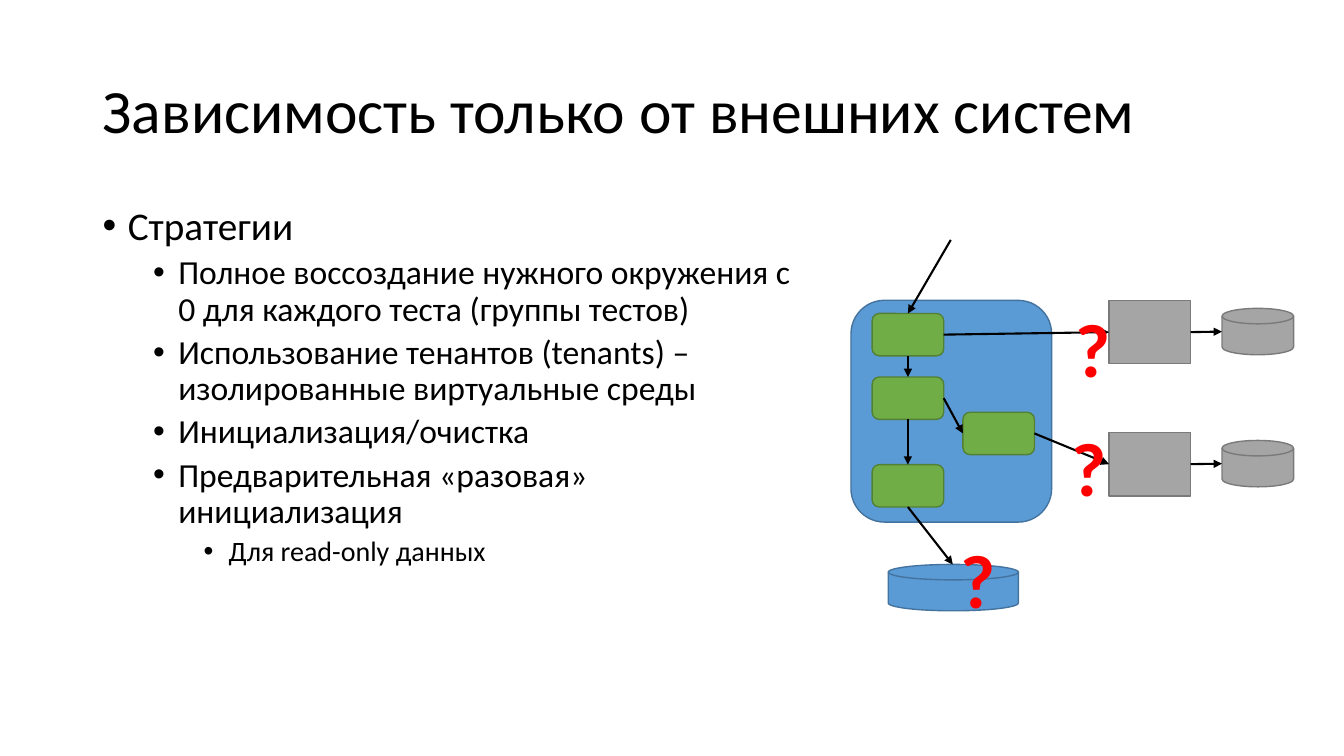
import dataclasses
import typing

import pptx
import pptx.dml.color
import pptx.enum.shapes
import pptx.enum.text
import pptx.oxml
import pptx.oxml.ns
import pptx.util

Inches = pptx.util.Inches
Pt = pptx.util.Pt
Kind = pptx.enum.shapes.MSO_SHAPE
Text = pptx.enum.text

COLORS = {
    "text": "000000", "mark": "FF0000",
    "blue": "5B9BD5", "blue_line": "43739E",
    "green": "70AD47", "green_line": "538035",
    "gray": "A5A5A5", "gray_line": "7A7A7A",
}
TOP, LEFT, BOTTOM, RIGHT = range(4)
End = tuple[typing.Union[str, float], float]


@dataclasses.dataclass
class Block:
    name: str
    kind: typing.Any
    box: tuple[float, float, float, float]
    color: str


@dataclasses.dataclass
class Link:
    """Each end is a block name with a side, or a point in inches."""
    start: End
    end: End


@dataclasses.dataclass
class Item:
    level: int
    text: str


TITLE = "Зависимость только от внешних систем"
ITEMS = [
    Item(0, "Стратегии"),
    Item(1, "Полное воссоздание нужного окружения с 0 для каждого теста (группы тестов)"),
    Item(1, "Использование тенантов (tenants) – изолированные виртуальные среды"),
    Item(1, "Инициализация/очистка"),
    Item(1, "Предварительная «разовая» инициализация"),
    Item(2, "Для read-only данных"),
]
SIZES = (28, 24, 20)

PARTS = {"entry": (8.65, 3.11), "logic": (8.65, 3.74),
         "data": (8.65, 4.61), "client": (9.55, 4.09)}
ROWS = {"first": 2.98, "second": 4.29}
BLOCKS = [
    Block("system", Kind.ROUNDED_RECTANGLE, (8.44, 2.98, 1.99, 2.2), "blue"),
    *(Block(name, Kind.ROUNDED_RECTANGLE, (*spot, 0.71, 0.42), "green")
      for name, spot in PARTS.items()),
    *(Block(name, Kind.RECTANGLE, (11, top, 0.81, 0.63), "gray")
      for name, top in ROWS.items()),
    Block("base", Kind.FLOWCHART_MAGNETIC_DISK, (8.81, 5.6, 1.29, 0.46), "blue"),
    *(Block(name + " base", Kind.FLOWCHART_MAGNETIC_DISK,
            (12.12, top + 0.08, 0.71, 0.46), "gray")
      for name, top in ROWS.items()),
]
LINKS = [
    Link(("entry", BOTTOM), ("logic", TOP)),
    Link(("logic", RIGHT), ("client", LEFT)),
    Link(("logic", BOTTOM), ("data", TOP)),
    Link(("entry", RIGHT), ("first", LEFT)),
    Link(("client", RIGHT), ("second", LEFT)),
    *(Link((name, RIGHT), (12.12, top + 0.31)) for name, top in ROWS.items()),
    Link((9.43, 2.38), ("entry", TOP)),
    Link(("data", BOTTOM), (9.45, 5.6)),
]
MARKS = [(10.57, 2.95), (10.53, 4.13), (9.43, 5.24)]


def get_rgb(name: str) -> pptx.dml.color.RGBColor:
    return pptx.dml.color.RGBColor.from_string(COLORS[name])


def make_xml(body: str) -> typing.Any:
    """Build one element, given as a tag with its content, in namespace a."""
    return pptx.oxml.parse_xml(
        body.replace(" ", f" {pptx.oxml.ns.nsdecls('a')} ", 1))


def set_all(target: typing.Any, values: dict[str, typing.Any]) -> None:
    for key, value in values.items():
        setattr(target, key, value)


def add_run(par: typing.Any, text: str, size: float, color: str = "text",
            bold: bool = False) -> typing.Any:
    run = par.add_run()
    run.text = text
    set_all(run.font, {"name": "Calibri", "size": Pt(size), "bold": bold})
    run.font.color.rgb = get_rgb(color)
    return run


def add_title(slide: typing.Any) -> None:
    title = slide.shapes.title
    set_all(title, {"left": Inches(0.92), "top": Inches(0.4),
                    "width": Inches(11.5), "height": Inches(1.45)})
    set_all(title.text_frame, {
        "word_wrap": True, "auto_size": Text.MSO_AUTO_SIZE.NONE,
        "vertical_anchor": Text.MSO_ANCHOR.MIDDLE})
    par = title.text_frame.paragraphs[0]
    set_all(par, {"alignment": Text.PP_ALIGN.LEFT, "line_spacing": 0.9})
    add_run(par, TITLE, 44)


def add_list(slide: typing.Any) -> None:
    frame = slide.shapes.add_textbox(
        *map(Inches, (0.92, 2, 7.09, 4.76))).text_frame
    frame.word_wrap = True
    for index, item in enumerate(ITEMS):
        par = frame.add_paragraph() if index else frame.paragraphs[0]
        props = par._p.get_or_add_pPr()
        props.set("marL", str(Inches(0.25 + 0.5 * item.level)))
        props.set("indent", str(Inches(-0.25)))
        props.append(make_xml('<a:buFont typeface="Arial"/>'))
        props.append(make_xml('<a:buChar char="•"/>'))
        set_all(par, {"level": item.level, "line_spacing": 0.9,
                      "space_before": Pt(5 if index else 0)})
        add_run(par, item.text, SIZES[item.level])


def add_block(slide: typing.Any, block: Block) -> typing.Any:
    shape = slide.shapes.add_shape(block.kind, *map(Inches, block.box))
    shape.shadow.inherit = False
    shape.fill.solid()
    shape.fill.fore_color.rgb = get_rgb(block.color)
    shape.line.color.rgb = get_rgb(block.color + "_line")
    shape.line.width = Pt(1)
    return shape


def add_link(slide: typing.Any, link: Link,
             shapes: dict[str, typing.Any]) -> None:
    ends = (link.start, link.end)
    spots = [(0, 0) if end[0] in shapes else end for end in ends]
    line = slide.shapes.add_connector(
        pptx.enum.shapes.MSO_CONNECTOR.STRAIGHT,
        *(Inches(value) for spot in spots for value in spot))
    for end, join in zip(ends, (line.begin_connect, line.end_connect)):
        if end[0] in shapes:
            join(shapes[end[0]], end[1])
    line.line.color.rgb = get_rgb("text")
    line.line.width = Pt(1.5)
    line.line._get_or_add_ln().append(make_xml('<a:tailEnd type="triangle"/>'))
    line._element.spPr.append(make_xml("<a:effectLst />"))


def add_mark(slide: typing.Any, spot: tuple[float, float]) -> None:
    frame = slide.shapes.add_textbox(
        *map(Inches, (*spot, 0.41, 0.79))).text_frame
    set_all(frame, {"word_wrap": False,
                    "auto_size": Text.MSO_AUTO_SIZE.SHAPE_TO_FIT_TEXT})
    par = frame.paragraphs[0]
    par.alignment = Text.PP_ALIGN.CENTER
    run = add_run(par, "?", 54, "mark", True)
    run._r.get_or_add_rPr().insert(0, make_xml(
        f'<a:ln w="{Pt(1.75)}"><a:solidFill><a:srgbClr val="{COLORS["mark"]}"/>'
        '</a:solidFill></a:ln>'))


def main() -> None:
    deck = pptx.Presentation()
    set_all(deck, {"slide_width": Inches(13.33), "slide_height": Inches(7.5)})
    slide = deck.slides.add_slide(deck.slide_layouts[5])
    add_title(slide)
    add_list(slide)
    shapes = {block.name: add_block(slide, block) for block in BLOCKS}
    for link in LINKS:
        add_link(slide, link, shapes)
    for spot in MARKS:
        add_mark(slide, spot)
    deck.save("out.pptx")


if __name__ == "__main__":
    main()
